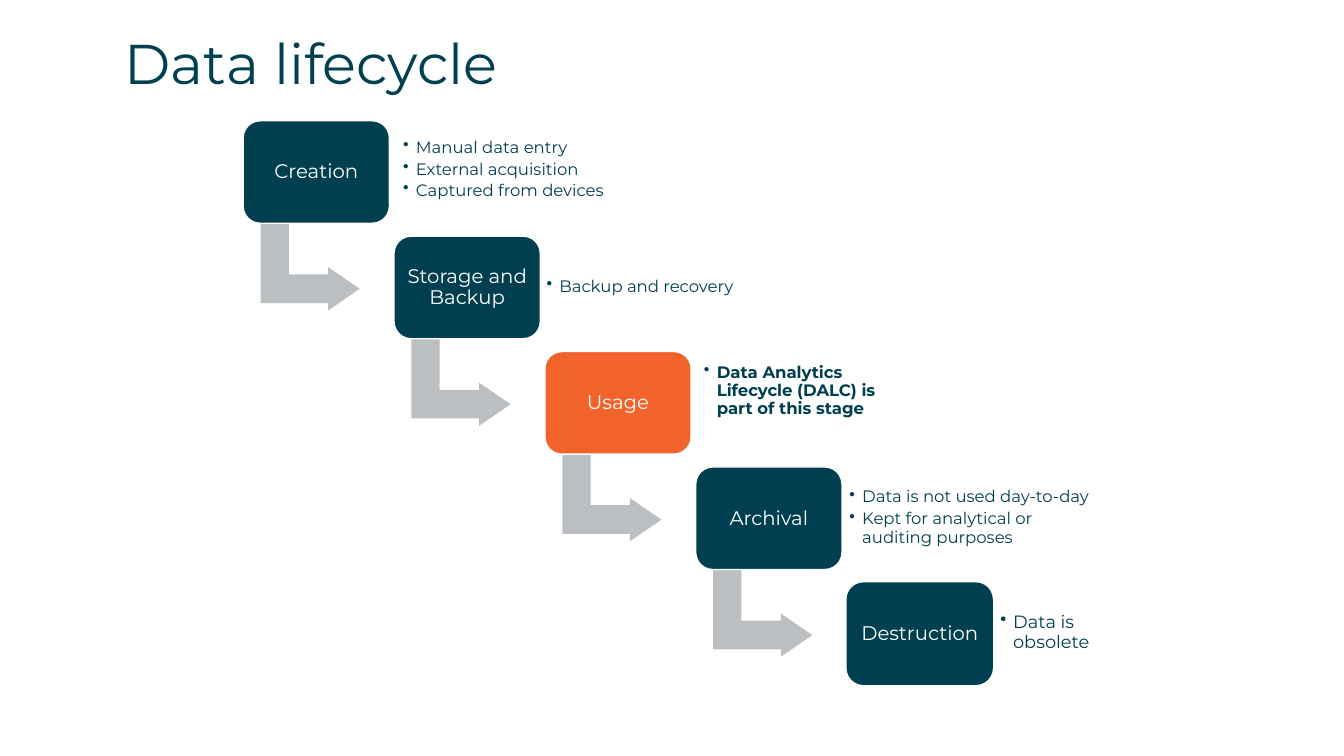
from lxml import etree
from pptx import Presentation
from pptx import util as u
from pptx.dml.color import RGBColor
from pptx.enum import shapes, text
from pptx.oxml import ns

Pt = u.Pt
FONT = "Montserrat"
HEX = {"title": "004050", "teal": "003F50", "orange": "F2622B",
       "grey": "BCBFC1", "white": "FFFFFF"}

# First card and the shift from each card to the next
LEFT, TOP, WIDE, HIGH = 191.5, 95.1, 115.2, 80.8
STEP_X, STEP_Y = 118.8, 90.9

# Bent arrow outline, from its top left corner
BENT = [(0, 0), (22.3, 0), (22.3, 40.2), (53.3, 40.2), (53.3, 34.6),
        (78.1, 51.6), (53.3, 68.6), (53.3, 62.8), (0, 62.8)]

# Notes: offset from the card, width, top inset, size, bold,
# then lines of (words, space before, line pitch)
STAGES = [
    ("Creation", "teal", (125.3, 10.7, 163.4, 2.2, 13, False),
     [("Manual data entry", 2.4, None),
      ("External acquisition", 1.4, None),
      ("Captured from devices", 1.3, None)]),
    ("Storage and Backup", "teal", (119.5, 30, 152, 1.4, 13, False),
     [("Backup and recovery", 1.2, None)]),
    ("Usage", "orange", (124.6, 6.1, 140.4, 2.9, 13, True),
     [("Data Analytics Lifecycle (DALC) is part of this stage", 2.6, 14.5)]),
    ("Archival", "teal", (120.3, 13.1, 194.4, 2.2, 13, False),
     [("Data is not used day-to-day", 2.4, None),
      ("Kept for analytical or auditing purposes", 2.8, 14.5)]),
    ("Destruction", "teal", (120.3, 20.8, 73.4, 2.9, 14, False),
     [("Data is obsolete", 2.7, 15.7)]),
]


def color(name):
    return RGBColor.from_string(HEX[name])


def add_run(para, words, size, tint, bold=False):
    run = para.add_run()
    run.text = words
    run.font.name = FONT
    run.font.size = Pt(size)
    run.font.bold = bold
    run.font.color.rgb = color(tint)


def set_frame(frame, top=0):
    frame.word_wrap = True
    frame.margin_left = frame.margin_right = frame.margin_bottom = 0
    frame.margin_top = Pt(top)


def add_box(slide, x, y, w, h, inset):
    box = slide.shapes.add_textbox(Pt(x), Pt(y), Pt(w), Pt(h))
    set_frame(box.text_frame, inset)
    return box.text_frame


def add_title(slide, x, y, w, h):
    para = add_box(slide, x, y, w, h, 1.4).paragraphs[0]
    para.space_before = Pt(1.2)
    add_run(para, "Data lifecycle", 44.1, "title")


def add_arrow(slide, x, y):
    spots = [(Pt(x + dx), Pt(y + dy)) for dx, dy in BENT]
    pen = slide.shapes.build_freeform(*spots[0])
    pen.add_line_segments(spots[1:], close=True)
    arrow = pen.convert_to_shape()
    arrow.shadow.inherit = False
    arrow.fill.solid()
    arrow.fill.fore_color.rgb = color("grey")
    arrow.line.fill.background()


def add_card(slide, x, y, label, tint, edge):
    card = slide.shapes.add_shape(shapes.MSO_SHAPE.ROUNDED_RECTANGLE,
                                  Pt(x), Pt(y), Pt(WIDE), Pt(HIGH))
    card.shadow.inherit = False
    card.fill.solid()
    card.fill.fore_color.rgb = color(tint)
    if edge:
        card.line.color.rgb = color("white")
        card.line.width = Pt(1.08)
    else:
        card.line.fill.background()
    frame = card.text_frame
    set_frame(frame)
    frame.vertical_anchor = text.MSO_ANCHOR.MIDDLE
    para = frame.paragraphs[0]
    para.alignment = text.PP_ALIGN.CENTER
    para.line_spacing = Pt(16.9)
    add_run(para, label, 15.5, "white")


def add_notes(slide, x, y, look, lines):
    """Place the bulleted notes beside the card at x, y."""
    dx, dy, w, inset, size, bold = look
    frame = add_box(slide, x + dx, y + dy, w, HIGH - 2 * dy, inset)
    for i, (words, gap, pitch) in enumerate(lines):
        para = frame.add_paragraph() if i else frame.paragraphs[0]
        para.space_before = Pt(gap)
        if pitch:
            para.line_spacing = Pt(pitch)
        props = para._p.get_or_add_pPr()
        props.set("marL", str(Pt(10.8)))
        props.set("indent", str(Pt(-10.1)))
        etree.SubElement(props, ns.qn("a:buChar")).set("char", "•")
        add_run(para, words, size, "teal", bold)


def add_stairs(slide, left, top):
    last = len(STAGES) - 1
    for i, (label, tint, look, lines) in enumerate(STAGES):
        x, y = left + i * STEP_X, top + i * STEP_Y
        if i < last:
            add_arrow(slide, x + 13.7, y + HIGH)
        add_card(slide, x, y, label, tint, i < last)
        add_notes(slide, x, y, look, lines)


def main():
    deck = Presentation()
    deck.slide_width, deck.slide_height = Pt(1058.4), Pt(595.4)
    slide = deck.slides.add_slide(deck.slide_layouts[6])
    add_title(slide, 97.9, 20.9, 607, 54.7)
    add_stairs(slide, LEFT, TOP)
    deck.save("out.pptx")


if __name__ == "__main__":
    main()
